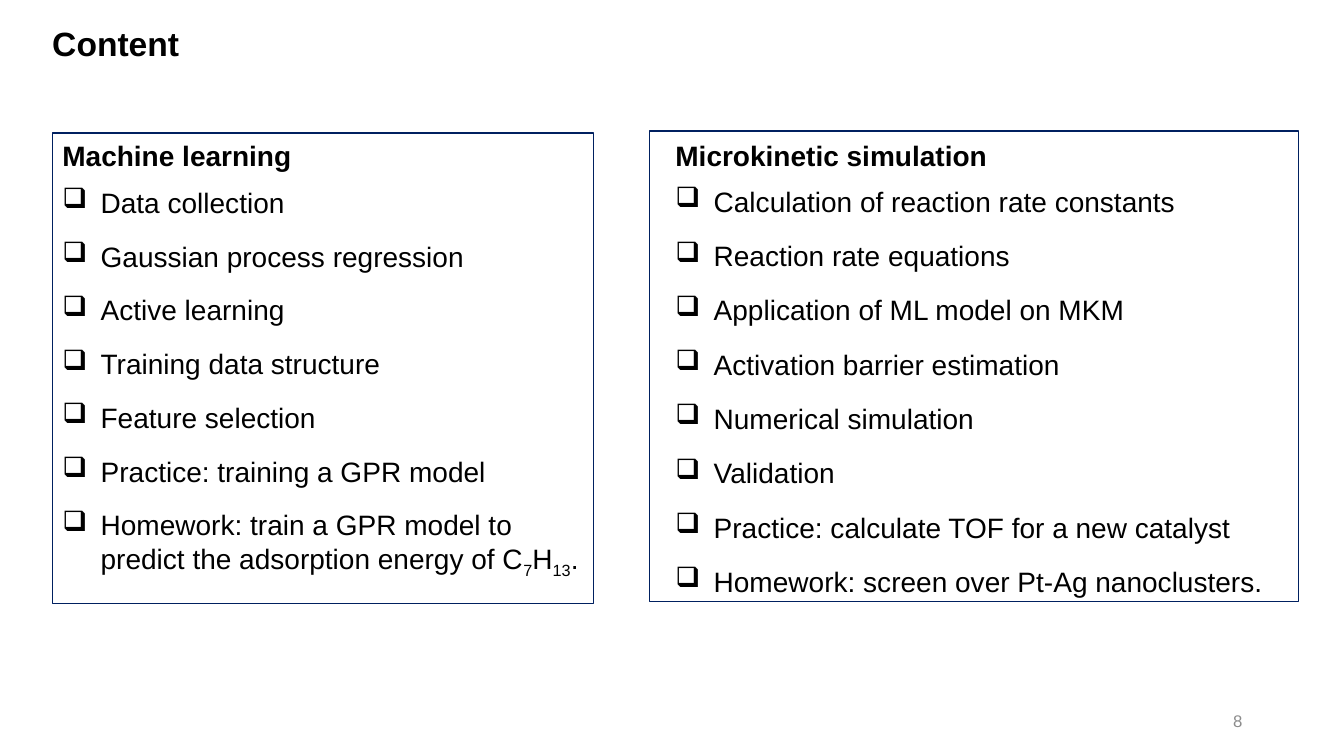
"""Build the Content slide with two framed topic lists."""
from lxml import etree
from pptx import Presentation
from pptx.dml.color import RGBColor
from pptx.enum import shapes, text
from pptx.oxml.ns import qn
from pptx.util import Inches, Pt

BLACK = RGBColor(0x00, 0x00, 0x00)
GREY = RGBColor(0x8C, 0x8C, 0x8C)
NAVY = RGBColor(0x00, 0x20, 0x60)
INDENT = Inches(0.38)

prs = Presentation()
prs.slide_width = Inches(13.33)
prs.slide_height = Inches(7.5)
s = prs.slides.add_slide(prs.slide_layouts[6])


def add_text(x, y, w, h, runs, size=20, bold=False, color=BLACK, bullet=False):
    tf = s.shapes.add_textbox(Inches(x), Inches(y), Inches(w), Inches(h)).text_frame
    tf.word_wrap = True
    p = tf.paragraphs[0]
    if bullet:
        pPr = p._p.get_or_add_pPr()
        pPr.set("marL", str(INDENT))
        pPr.set("indent", str(-INDENT))
        etree.SubElement(pPr, qn("a:buChar")).set("char", "❑")
    for i, part in enumerate(runs):
        r = p.add_run()
        r.text = part
        r.font.name = "Arial"
        r.font.size = Pt(size)
        r.font.bold = bold
        r.font.color.rgb = color
        if i % 2:
            r._r.get_or_add_rPr().set("baseline", "-25000")
    return tf


add_text(0.42, 0.18, 6.44, 0.5, ["Content"], size=24, bold=True)

columns = [
    ("Machine learning", 0.52, 5.37, 1.79, (0.52, 1.32, 5.37, 4.67), [
        ["Data collection"],
        ["Gaussian process regression"],
        ["Active learning"],
        ["Training data structure"],
        ["Feature selection"],
        ["Practice: training a GPR model"],
        ["Homework: train a GPR model to predict the adsorption energy of C",
         "7", "H", "13", "."],
    ]),
    ("Microkinetic simulation", 6.6, 6.21, 1.78, (6.44, 1.3, 6.44, 4.67), [
        ["Calculation of reaction rate constants"],
        ["Reaction rate equations"],
        ["Application of ML model on MKM"],
        ["Activation barrier estimation"],
        ["Numerical simulation"],
        ["Validation"],
        ["Practice: calculate TOF for a new catalyst"],
        ["Homework: screen over Pt-Ag nanoclusters."],
    ]),
]
bottoms = (4.99, 5.55)

for (heading, x, width, top, frame, topics), bottom in zip(columns, bottoms):
    add_text(x, 1.32, width, 0.44, [heading], bold=True)
    pitch = (bottom - top) / (len(topics) - 1)
    for i, topic in enumerate(topics):
        height = 0.77 if len(topic) > 1 else 0.44
        add_text(x, top + i * pitch, width, height, topic, bullet=True)
    sp = s.shapes.add_shape(shapes.MSO_SHAPE.RECTANGLE, *map(Inches, frame))
    sp.shadow.inherit = False
    sp.fill.background()
    sp.line.color.rgb = NAVY
    sp.line.width = Pt(1)

tf = add_text(9.42, 6.95, 3, 0.4, ["8"], size=12, color=GREY)
tf.vertical_anchor = text.MSO_ANCHOR.MIDDLE
tf.paragraphs[0].alignment = text.PP_ALIGN.RIGHT

prs.save("out.pptx")
